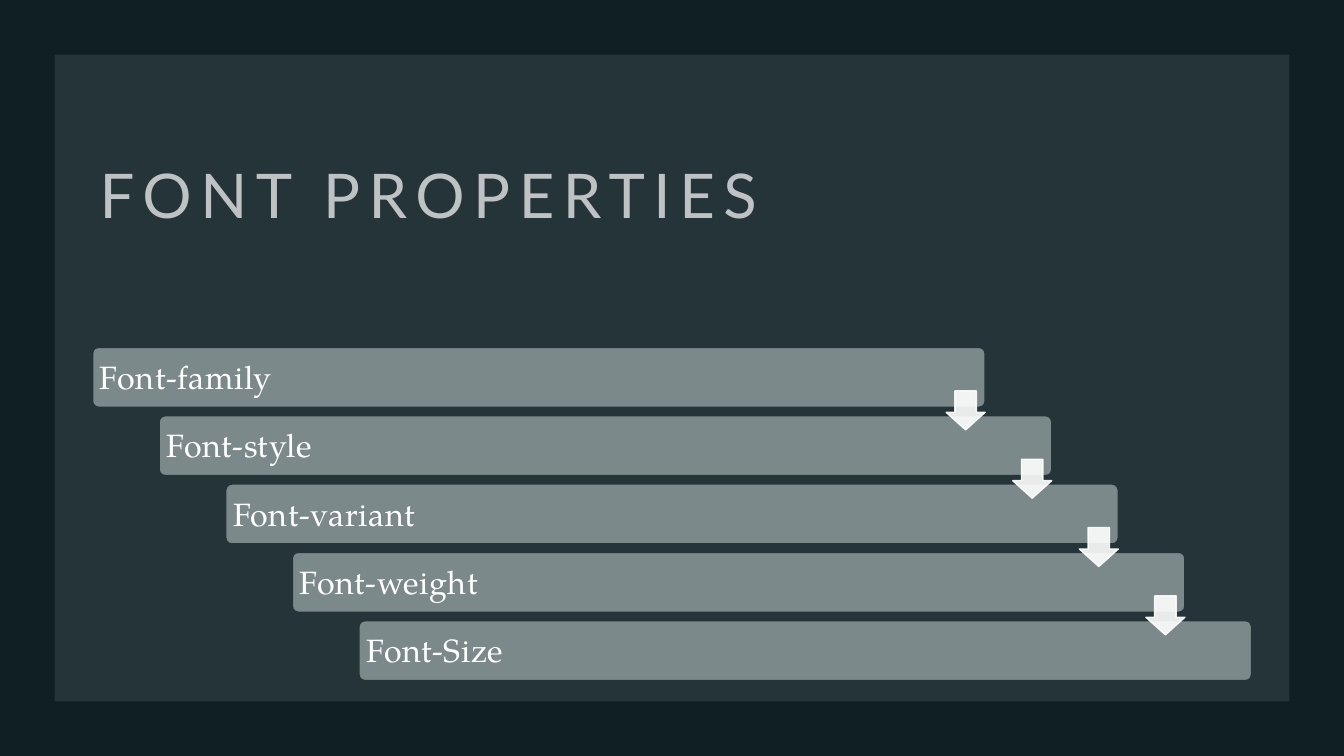
"""Build the font properties slide: a staircase of bars joined by arrows."""
from dataclasses import dataclass

from lxml.etree import SubElement
from pptx import Presentation
from pptx.dml.color import RGBColor as RGB
from pptx.enum.shapes import MSO_SHAPE as Kind
from pptx.enum.text import MSO_ANCHOR as Anchor, MSO_AUTO_SIZE as Auto, PP_ALIGN as Align
from pptx.oxml.ns import qn
from pptx.util import Pt

TITLE = "FONT PROPERTIES"
STEPS = ["Font-family", "Font-style", "Font-variant", "Font-weight", "Font-Size"]


@dataclass(frozen=True)
class Theme:
    back: str = "253439"
    frame: str = "101F24"
    bar: str = "7C898B"
    light: str = "FFFFFF"
    soft: str = "BEC2C4"
    head: str = "Lato"
    body: str = "TeX Gyre Pagella"
    big: float = 66
    small: float = 34.5


T = Theme()
WIDE, HIGH, EDGE = 1440, 810, 58.5
BAR_X, BAR_Y, BAR_W, BAR_H = 99.2, 372.2, 956.3, 64.2
STEP_X, STEP_Y = 71.35, 73.2
ARROW, DROP = 41.8, 46.6


def paint(fill, color, alpha=100):
    fill.solid()
    fill.fore_color.rgb = RGB.from_string(color)
    if alpha < 100:
        tone = fill._xPr.find(qn("a:solidFill"))[0]
        SubElement(tone, qn("a:alpha"), val=str(alpha * 1000))


def draw(slide, kind, box, color, ratios, alpha=100, edge=None, width=1.5):
    shape = slide.shapes.add_shape(kind, *map(Pt, box))
    shape.shadow.inherit = False
    for i, ratio in enumerate(ratios):
        shape.adjustments[i] = ratio
    paint(shape.fill, color, alpha)
    if edge:
        paint(shape.line.fill, edge, alpha)
        shape.line.width = Pt(width)
    else:
        shape.line.fill.background()
    return shape


def write(shape, text, font, size, color, lead, track, anchor, pads=(0, 0)):
    frame = shape.text_frame
    frame.text = text
    frame.word_wrap = True
    frame.auto_size = Auto.NONE
    frame.vertical_anchor = anchor
    frame.margin_left, frame.margin_top = map(Pt, pads)
    frame.margin_right = frame.margin_bottom = 0
    para = frame.paragraphs[0]
    para.alignment = Align.LEFT
    para.line_spacing = Pt(lead)
    run = para.runs[0]
    run.font.name, run.font.size = font, Pt(size)
    paint(run.font.fill, color)
    run._r.get_or_add_rPr().set("spc", str(round(track * 100)))


def main():
    deck = Presentation()
    deck.slide_width, deck.slide_height = Pt(WIDE), Pt(HIGH)
    slide = deck.slides.add_slide(deck.slide_layouts[5])
    paint(slide.background.fill, T.back)
    draw(slide, Kind.FRAME, (0, 0, WIDE, HIGH), T.frame, [EDGE / HIGH])

    title = slide.shapes.title
    title.left, title.top, title.width, title.height = map(Pt, (106.6, 175.7, 1227.6, 73.4))
    write(title, TITLE, T.head, T.big, T.soft, 71.3, 9.2, Anchor.TOP)

    spots = [(BAR_X + i * STEP_X, BAR_Y + i * STEP_Y) for i in range(len(STEPS))]
    for (x, y), step in zip(spots, STEPS):
        bar = draw(slide, Kind.ROUNDED_RECTANGLE, (x, y, BAR_W, BAR_H), T.bar, [0.1], edge=T.back)
        write(bar, step, T.body, T.small, T.light, 37.3, 0.7, Anchor.MIDDLE, pads=(6, 2.4))
    for x, y in spots[:-1]:
        box = (x + BAR_W - ARROW, y + DROP, ARROW, ARROW)
        draw(slide, Kind.DOWN_ARROW, box, T.light, [0.55, 0.45], alpha=90, edge=T.light)

    deck.save("out.pptx")


if __name__ == "__main__":
    main()
